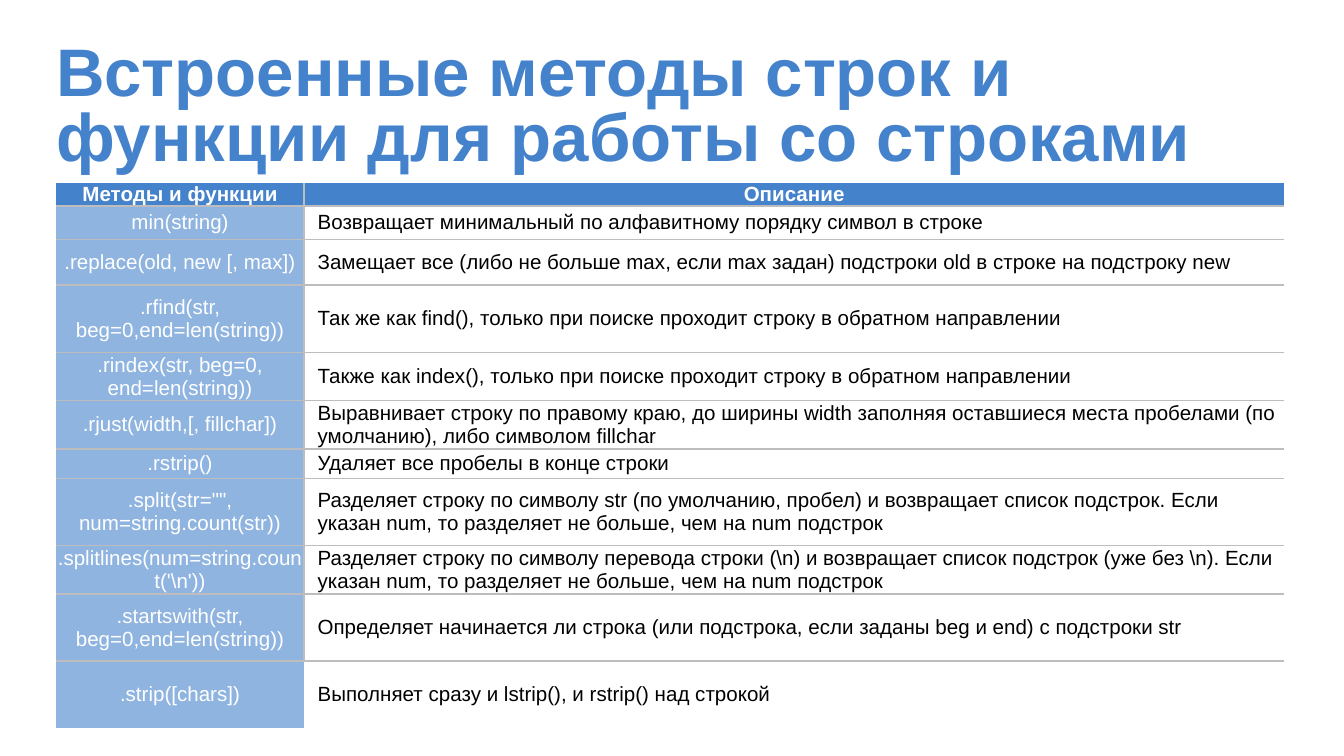
import pptx
import pptx.dml.color
import pptx.enum.text
import pptx.oxml.ns
import pptx.util
import lxml.etree

Pt = pptx.util.Pt
ALIGN = pptx.enum.text.PP_ALIGN
MIDDLE = pptx.enum.text.MSO_ANCHOR.MIDDLE

COLORS = {
    "blue": "4482CC",
    "light": "8FB4E0",
    "white": "FFFFFF",
    "black": "000000",
    "grid": "BDBDBD",
}
HEADINGS = ("Методы и функции", "Описание")
METHODS = [
    (18, "min(string)", "Возвращает минимальный по алфавитному порядку символ в строке"),
    (24.5, ".replace(old, new [, max])",
     "Замещает все (либо не больше max, если max задан) подстроки old в строке на подстроку new"),
    (36, ".rfind(str, beg=0,end=len(string))",
     "Так же как find(), только при поиске проходит строку в обратном направлении"),
    (24.5, ".rindex(str, beg=0, end=len(string))",
     "Также как index(), только при поиске проходит строку в обратном направлении"),
    (24.5, ".rjust(width,[, fillchar])",
     "Выравнивает строку по правому краю, до ширины width заполняя оставшиеся места "
     "пробелами (по умолчанию), либо символом fillchar"),
    (15.8, ".rstrip()", "Удаляет все пробелы в конце строки"),
    (36, '.split(str="", num=string.count(str))',
     "Разделяет строку по символу str (по умолчанию, пробел) и возвращает список подстрок. "
     "Если указан num, то разделяет не больше, чем на num подстрок"),
    (24.5, ".splitlines(num=string.count('\\n'))",
     "Разделяет строку по символу перевода строки (\\n) и возвращает список подстрок (уже без \\n). "
     "Если указан num, то разделяет не больше, чем на num подстрок"),
    (36, ".startswith(str, beg=0,end=len(string))",
     "Определяет начинается ли строка (или подстрока, если заданы beg и end) с подстроки str"),
    (36, ".strip([chars])", "Выполняет сразу и lstrip(), и rstrip() над строкой"),
]


def rgb(name):
    return pptx.dml.color.RGBColor.from_string(COLORS[name])


def write(frame, text, size=11, color="white", bold=False, align=ALIGN.LEFT, spacing=None, indent=0):
    para = frame.paragraphs[0]
    para.alignment = align
    para.line_spacing = spacing
    if indent:
        para._p.get_or_add_pPr().set("marL", str(Pt(indent)))
    span = para.add_run()
    span.text = text
    span.font.name = "Arial"
    span.font.size = Pt(size)
    span.font.bold = bold
    span.font.color.rgb = rgb(color)


class SlideBuilder:
    def __init__(self, deck):
        self.page = deck.slides.add_slide(deck.slide_layouts[6])

    def title(self, text, left, top, width, height):
        box = self.page.shapes.add_textbox(Pt(left), Pt(top), Pt(width), Pt(height))
        frame = box.text_frame
        frame.word_wrap = True
        frame.vertical_anchor = MIDDLE
        frame.margin_left = frame.margin_right = Pt(7.2)
        frame.margin_top = frame.margin_bottom = Pt(7.2)
        write(frame, text, size=36, color="blue", bold=True, spacing=0.8)

    def borders(self, cell, edges):
        qn = pptx.oxml.ns.qn
        properties = cell._tc.get_or_add_tcPr()
        for edge in "LRTB":
            line = lxml.etree.SubElement(properties, qn("a:ln" + edge), w=str(Pt(1)))
            if edge in edges:
                fill = lxml.etree.SubElement(line, qn("a:solidFill"))
                lxml.etree.SubElement(fill, qn("a:srgbClr"), val=COLORS["grid"])
            else:
                lxml.etree.SubElement(line, qn("a:noFill"))

    def cell(self, cell, text, fill, edges, margins, **style):
        side, end = margins
        cell.margin_left = cell.margin_right = Pt(side)
        cell.margin_top = cell.margin_bottom = Pt(end)
        cell.vertical_anchor = MIDDLE
        self.borders(cell, edges)
        cell.fill.solid()
        cell.fill.fore_color.rgb = rgb(fill)
        write(cell.text_frame, text, **style)

    def method_table(self, left, top, widths, header_height):
        heights = [header_height] + [method[0] for method in METHODS]
        table = self.page.shapes.add_table(
            len(heights), len(widths), Pt(left), Pt(top), Pt(sum(widths)), Pt(sum(heights))
        ).table
        table.first_row = table.horz_banding = False
        for column, width in zip(table.columns, widths):
            column.width = Pt(width)
        for row, height in zip(table.rows, heights):
            row.height = Pt(height)
        for column, (heading, inner) in enumerate(zip(HEADINGS, "RL")):
            self.cell(table.cell(0, column), heading, "blue", inner + "B", (5, 0),
                      bold=True, align=ALIGN.CENTER)
        for row, (_, method, description) in enumerate(METHODS, 1):
            last = row == len(METHODS)
            self.cell(table.cell(row, 0), method, "light", "T" if last else "RTB",
                      (0.7, 0.7), align=ALIGN.CENTER)
            self.cell(table.cell(row, 1), description, "white", "T" if last else "LTB",
                      (0.7, 0.7), color="black", indent=6.5)


def main():
    deck = pptx.Presentation()
    deck.slide_width, deck.slide_height = Pt(720), Pt(405)
    slide = SlideBuilder(deck)
    slide.method_table(30, 98, (133, 525), 11.5)
    slide.title("Встроенные методы строк и функции для работы со строками", 23, 14.4, 669.6, 88.6)
    deck.save("out.pptx")


if __name__ == "__main__":
    main()
